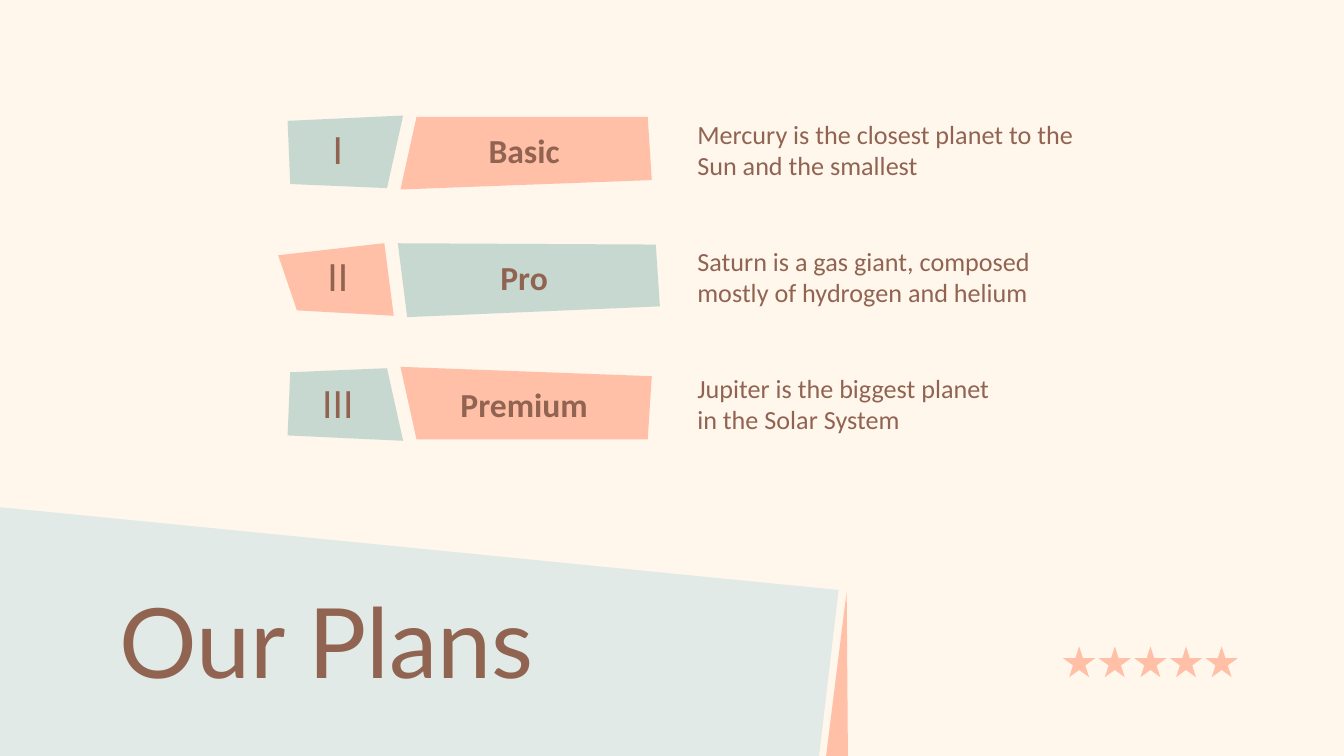
from copy import deepcopy

from pptx import Presentation
from pptx import util as u
from pptx.dml.color import RGBColor
from pptx.enum import shapes, text
from pptx.oxml.ns import qn

PX = u.Inches(1) // 200
COLORS = {
    "cream": "FFF6EC",
    "mist": "E1EAE7",
    "sage": "C7D8D0",
    "peach": "FFC0A7",
    "brown": "916452",
}
TOP, LEFT = text.MSO_ANCHOR.TOP, text.PP_ALIGN.LEFT
MID, CENTER = text.MSO_ANCHOR.MIDDLE, text.PP_ALIGN.CENTER
TITLE = {"name": "Lato", "size": u.Pt(52), "bold": False}
MARK = {"name": "Lato", "size": u.Pt(20), "bold": False}
LABEL = {"name": "Calibri", "size": u.Pt(18), "bold": True}
NOTE = {"name": "Calibri", "size": u.Pt(14), "bold": False}

BAND = [(1216, 1150), (-60, 1146), (-68, 748), (1248, 878)]
SLIVER = [(1260, 880), (1262, 1148), (1226, 1152)]
TAG = [(576, 280), (600, 172), (428, 180), (432, 274)]
BAR = [(620, 174), (596, 282), (970, 268), (964, 174)]
MID_TAG = [(586, 470), (572, 362), (414, 380), (442, 462)]
MID_BAR = [(592, 362), (606, 472), (982, 456), (976, 364)]
PLANS = [
    ("I", "Basic", "Mercury is the closest planet to the Sun and the smallest"),
    ("II", "Pro", "Saturn is a gas giant, composed mostly of hydrogen and helium"),
    ("III", "Premium", "Jupiter is the biggest planet\nin the Solar System"),
]
ROW_TOP, ROW_STEP = 166, 189


def rgb(name):
    return RGBColor.from_string(COLORS[name])


def paint(shape, color):
    shape.shadow.inherit = False
    shape.fill.solid()
    shape.fill.fore_color.rgb = rgb(color)
    shape.line.fill.background()


def add_poly(slide, points, color):
    pen = slide.shapes.build_freeform(*points[0], scale=PX)
    pen.add_line_segments(points[1:], close=True)
    paint(pen.convert_to_shape(), color)


def flip(points):
    """Mirror a first-row outline top to bottom into the third row."""
    return [(x, 828 - y) for x, y in points]


def write(shape, words, font, align=CENTER, anchor=MID):
    frame = shape.text_frame
    frame.word_wrap = True
    frame.auto_size = text.MSO_AUTO_SIZE.NONE
    frame.vertical_anchor = anchor
    for side in ("left", "top", "right", "bottom"):
        setattr(frame, f"margin_{side}", 20 * PX)
    para = frame.paragraphs[0]
    para.text = words
    para.alignment = align
    for run in para.runs:
        for key, value in font.items():
            setattr(run.font, key, value)
        run.font.color.rgb = rgb("brown")
    # Line breaks take the run's size so that they keep the line height.
    for mark in para._p.findall(qn("a:br")):
        mark.append(deepcopy(para.runs[0]._r.rPr))


def add_text(slide, box, words, font, align=CENTER):
    shape = slide.shapes.add_textbox(*(n * PX for n in box))
    write(shape, words, font, align)


def add_stars(slide):
    for i in range(5):
        box = (1582 + 53 * i, 962, 48, 46)
        star = slide.shapes.add_shape(
            shapes.MSO_SHAPE.STAR_5_POINT, *(n * PX for n in box))
        paint(star, "peach")


def add_title(slide, words):
    title = slide.shapes.title
    title.left, title.top, title.width, title.height = (
        n * PX for n in (158, 846, 1686, 224))
    write(title, words, TITLE, LEFT, TOP)
    slide.shapes._spTree.append(title._element)  # bring in front of the band


def add_plan(slide, row, plan):
    mark, label, note = plan
    top = ROW_TOP + ROW_STEP * row
    add_text(slide, (416, top + 26, 174, 62), mark, MARK)
    add_text(slide, (590, top, 380, 114), label, LABEL)
    add_text(slide, (1018, top, 644, 114), note, NOTE, LEFT)


def main():
    deck = Presentation()
    deck.slide_width, deck.slide_height = 2000 * PX, 1125 * PX
    slide = deck.slides.add_slide(deck.slide_layouts[5])
    slide.background.fill.solid()
    slide.background.fill.fore_color.rgb = rgb("cream")

    add_poly(slide, BAND, "mist")
    add_poly(slide, SLIVER, "peach")
    add_stars(slide)
    add_title(slide, "Our Plans")

    for tag, bar in ((TAG, BAR), (flip(TAG), flip(BAR))):
        add_poly(slide, tag, "sage")
        add_poly(slide, bar, "peach")
    add_poly(slide, MID_TAG, "peach")
    add_poly(slide, MID_BAR, "sage")

    for row, plan in enumerate(PLANS):
        add_plan(slide, row, plan)
    deck.save("out.pptx")


if __name__ == "__main__":
    main()
